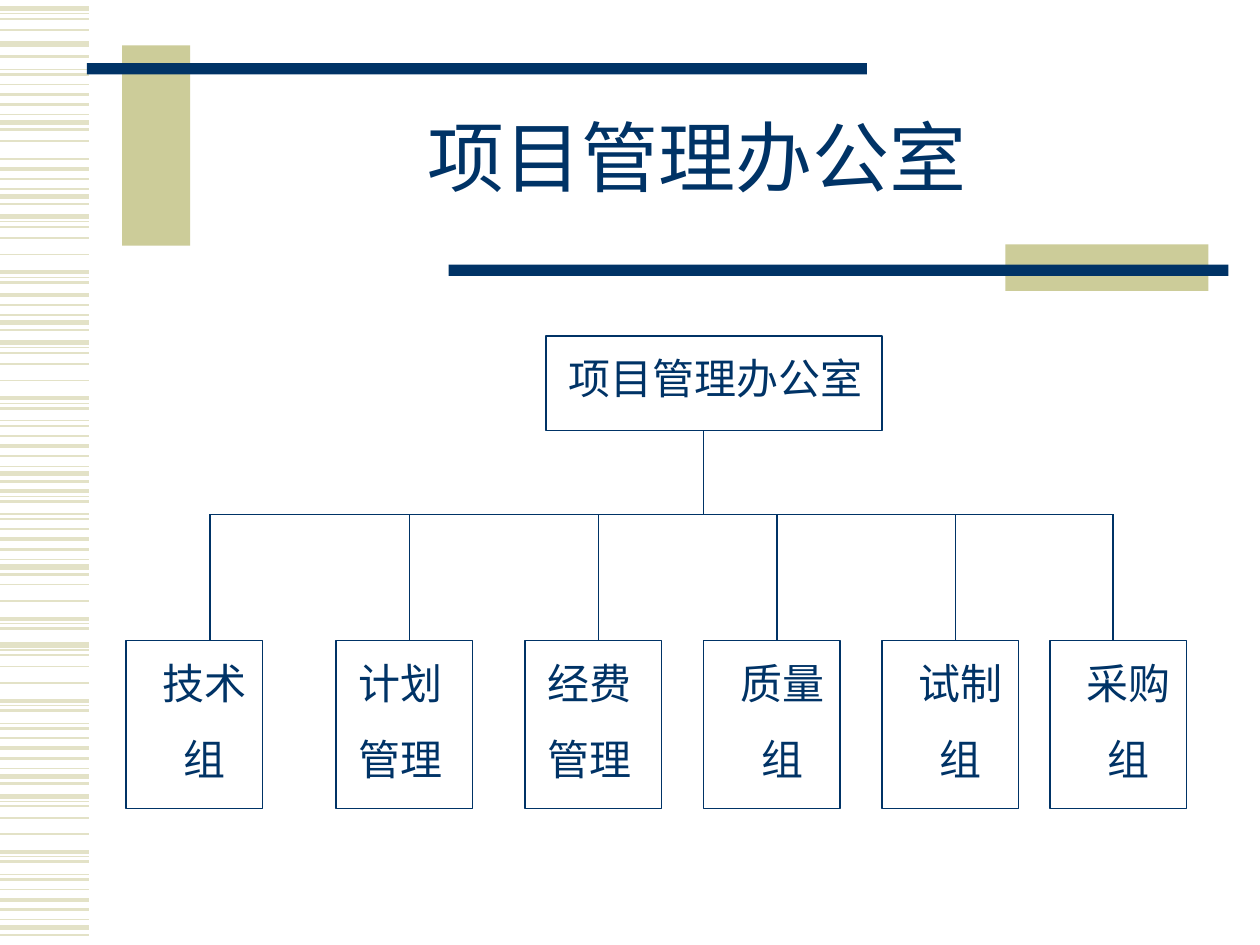
from typing import NamedTuple

import pptx
import pptx.dml.color
import pptx.enum.shapes
import pptx.enum.text
import pptx.oxml
import pptx.oxml.ns
import pptx.util
from pptx.shapes.connector import Connector
from pptx.slide import Slide

ALIGN = pptx.enum.text.PP_ALIGN
ANCHOR = pptx.enum.text.MSO_ANCHOR
FIT = pptx.enum.text.MSO_AUTO_SIZE

# The slide is a grid of 120 columns and 90 rows, twelve to the inch
COLUMNS, ROWS, PER_INCH = 120, 90, 12
FINE = 100  # margin stripes sit on a finer grid, 100 rows to the inch


class Theme(NamedTuple):
    navy: str = "003366"
    khaki: str = "CCCC99"
    stripe: str = "E3E2C7"
    font: str = "Times New Roman"
    title_size: float = 44
    body_size: float = 24
    line: float = 0.75


class Area(NamedTuple):
    column: float
    row: float
    columns: float
    rows: float


class Bar(NamedTuple):
    area: Area
    color: str


class Group(NamedTuple):
    lines: tuple[str, ...]
    column: float  # left edge of the frame
    drop: float  # column of the line above it
    align: ALIGN = ALIGN.CENTER


class Stripe(NamedTuple):
    offset: int
    weight: float


class Run(NamedTuple):
    pattern: tuple[Stripe, ...]
    starts: tuple[int, ...]


THEME = Theme()

BARS = (
    Bar(Area(11.64, 4.32, 6.48, 19.08), THEME.khaki),
    Bar(Area(8.28, 6, 74.28, 1.08), THEME.navy),
    Bar(Area(95.76, 23.28, 19.32, 4.44), THEME.khaki),
    Bar(Area(42.72, 25.2, 74.28, 1.08), THEME.navy),
)

OFFICE = "项目管理办公室"
OFFICE_FRAME = Area(52, 32, 32, 9)
TRUNK, BRANCH_ROW, GROUP_ROW = 67, 49, 61
GROUPS = (
    Group(("技术", "组"), 12, 20),
    Group(("计划", "管理"), 32, 39, ALIGN.LEFT),
    Group(("经费", "管理"), 50, 57, ALIGN.LEFT),
    Group(("质量", "组"), 67, 74),
    Group(("试制", "组"), 84, 91),
    Group(("采购", "组"), 100, 106),
)

# Two stripe patterns alternate down the margin, some of them cut short
LONG = tuple(Stripe(*pair) for pair in (
    (0, 3), (4, 0.75), (8, 1), (17, 1), (30, 1),
    (44, 2.25), (48, 0.75), (52, 1.5), (62, 0.75), (66, 1.5)))
SHORT = tuple(Stripe(*pair) for pair in (
    (0, 1), (8, 2.25), (16, 1.5), (24, 0.75), (30, 3), (36, 1.5)))
SINGLES = tuple(Stripe(*pair) for pair in (
    (35, 3), (45, 1.5), (55, 0.75), (59, 1.5), (112, 1)))
RUNS = (
    Run(SINGLES, (0,)),
    Run(LONG[:4], (7,)),
    Run(LONG[:8], (172,)),
    Run(LONG, (272, 512, 632)),
    Run(LONG[5:], (346,)),
    Run(LONG[3:8], (447,)),
    Run(SHORT, (67, 126, 346, 420, 586, 706)),
    Run(SHORT[1:], (226,)),
)
STRIPE_COLUMNS = 8.5


def cells(count: float) -> int:
    return pptx.util.Inches(count / PER_INCH)


def rgb(color: str) -> pptx.dml.color.RGBColor:
    return pptx.dml.color.RGBColor.from_string(color)


def apply(target: object, values: dict) -> None:
    for name, value in values.items():
        setattr(target, name, value)


def draw_line(page: Slide, start: tuple, end: tuple,
              color: str = THEME.navy, weight: float = THEME.line) -> Connector:
    line = page.shapes.add_connector(
        pptx.enum.shapes.MSO_CONNECTOR.STRAIGHT,
        *(cells(value) for value in (*start, *end)))
    line.line.color.rgb = rgb(color)
    line.line.width = pptx.util.Pt(weight)
    properties = line._element.spPr
    properties.append(pptx.oxml.parse_xml(
        f"<a:effectLst {pptx.oxml.ns.nsdecls('a')}/>"))
    return line


def draw_rectangle(page: Slide, area: Area, fill: str | None = None) -> None:
    """Draw a solid bar, or an open navy frame when there is no fill."""
    box = page.shapes.add_shape(
        pptx.enum.shapes.MSO_SHAPE.RECTANGLE, *map(cells, area))
    box.shadow.inherit = False
    if fill:
        box.fill.solid()
        box.fill.fore_color.rgb = rgb(fill)
        box.line.fill.background()
    else:
        box.fill.background()
        box.line.color.rgb = rgb(THEME.navy)
        box.line.width = pptx.util.Pt(THEME.line)


def draw_text(page: Slide, area: Area, lines: tuple[str, ...], size: float,
              frame_format: dict, para_format: dict) -> None:
    box = page.shapes.add_textbox(*map(cells, area))
    frame = box.text_frame
    apply(frame, {"word_wrap": True, **frame_format})
    for index, words in enumerate(lines):
        para = frame.add_paragraph() if index else frame.paragraphs[0]
        apply(para, para_format)
        if index:
            para.space_before = pptx.util.Pt(15)
        span = para.add_run()
        span.text = words
        apply(span.font, {"name": THEME.font, "size": pptx.util.Pt(size)})
        span.font.color.rgb = rgb(THEME.navy)


def draw_margin(page: Slide) -> None:
    for run in RUNS:
        for start in run.starts:
            for stripe in run.pattern:
                row = (start + stripe.offset) * PER_INCH / FINE
                draw_line(page, (0, row), (STRIPE_COLUMNS, row),
                          THEME.stripe, stripe.weight)


def draw_chart(page: Slide) -> None:
    grow = {"auto_size": FIT.SHAPE_TO_FIT_TEXT}
    # Head office
    draw_rectangle(page, OFFICE_FRAME)
    draw_text(page, Area(53, 33, 31, 6), (OFFICE,), THEME.body_size,
              grow, {"alignment": ALIGN.LEFT})
    # Groups, each text set one cell in from its frame
    for group in GROUPS:
        draw_text(page, Area(group.column + 1, GROUP_ROW + 1, 13, 13.32),
                  group.lines, THEME.body_size, grow,
                  {"alignment": group.align})
        draw_rectangle(page, Area(group.column, GROUP_ROW, 13, 16))
    # Branch lines
    draw_line(page, (GROUPS[0].drop, BRANCH_ROW), (GROUPS[-1].drop, BRANCH_ROW))
    for group in GROUPS:
        draw_line(page, (group.drop, BRANCH_ROW), (group.drop, GROUP_ROW))
    draw_line(page, (TRUNK, OFFICE_FRAME.row + OFFICE_FRAME.rows),
              (TRUNK, BRANCH_ROW))


def main() -> None:
    deck = pptx.Presentation()
    apply(deck, {"slide_width": cells(COLUMNS), "slide_height": cells(ROWS)})
    page = deck.slides.add_slide(deck.slide_layouts[6])
    # Background decoration
    draw_margin(page)
    for bar in BARS:
        draw_rectangle(page, bar.area, bar.color)
    # Title
    draw_text(page, Area(18, 8.04, 96.84, 15), (OFFICE,), THEME.title_size,
              {"vertical_anchor": ANCHOR.MIDDLE},
              {"alignment": ALIGN.CENTER, "line_spacing": 0.85})
    draw_chart(page)
    deck.save("out.pptx")


if __name__ == "__main__":
    main()
